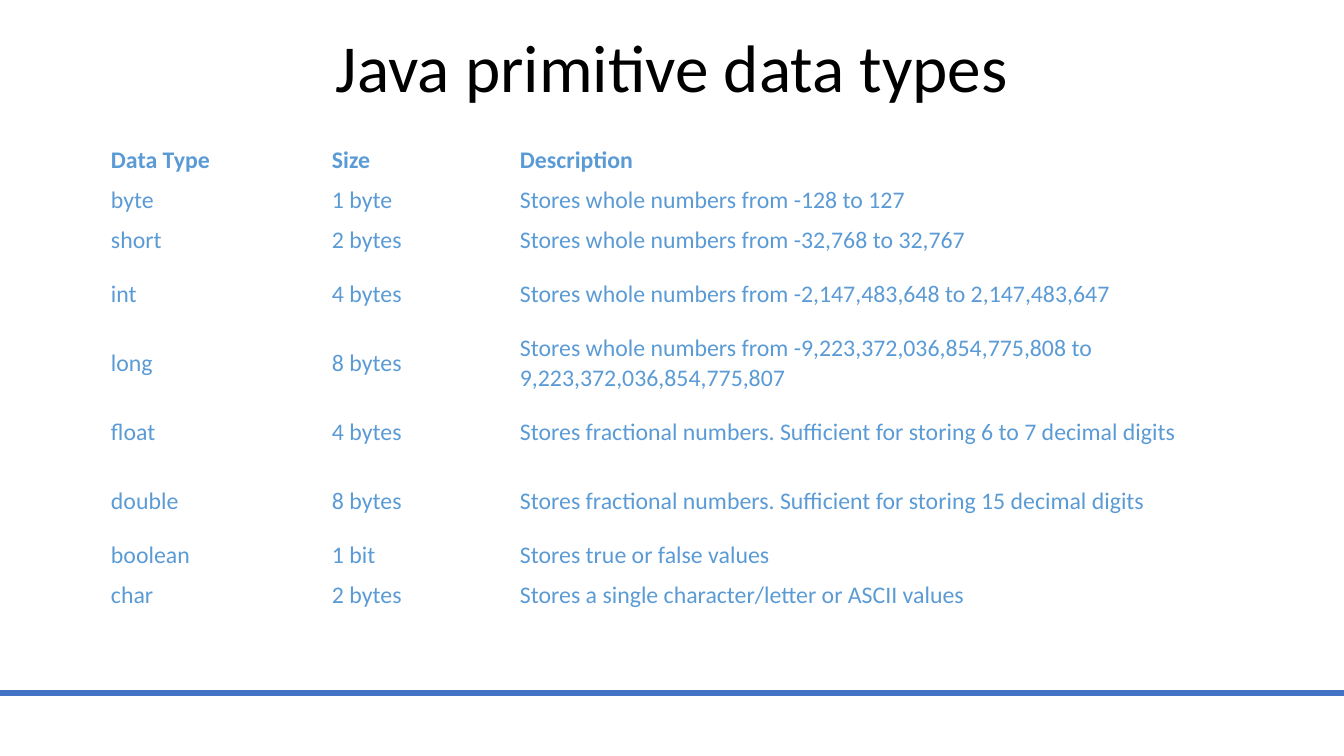
from pptx import Presentation
from pptx.dml.color import RGBColor
from pptx.enum.shapes import MSO_SHAPE
from pptx.enum.text import MSO_ANCHOR, PP_ALIGN
from pptx.util import Emu, Pt

COLORS = {"title": "000000", "table": "5B9BD5", "rule": "4472C4"}
FONT = "Calibri"
SLIDE_WIDTH, SLIDE_HEIGHT = 1344, 756
COLUMN_WIDTHS = [221, 188, 697]
ROW_HEIGHTS = [40] * 3 + [69] * 4 + [40] * 2
DATA_TYPES = [
    ("Data Type", "Size", "Description"),
    ("byte", "1 byte", "Stores whole numbers from -128 to 127"),
    ("short", "2 bytes", "Stores whole numbers from -32,768 to 32,767"),
    ("int", "4 bytes", "Stores whole numbers from -2,147,483,648 to 2,147,483,647"),
    ("long", "8 bytes", "Stores whole numbers from -9,223,372,036,854,775,808 to 9,223,372,036,854,775,807"),
    ("float", "4 bytes", "Stores fractional numbers. Sufficient for storing 6 to 7 decimal digits"),
    ("double", "8 bytes", "Stores fractional numbers. Sufficient for storing 15 decimal digits"),
    ("boolean", "1 bit", "Stores true or false values"),
    ("char", "2 bytes", "Stores a single character/letter or ASCII values"),
]


def px(length):
    return Emu(round(length * 12192000 / SLIDE_WIDTH))


def style(paragraph, size, color, bold=False):
    paragraph.font.name = FONT
    paragraph.font.size = Pt(size)
    paragraph.font.bold = bold
    paragraph.font.color.rgb = RGBColor.from_string(COLORS[color])


deck = Presentation()
deck.slide_width, deck.slide_height = px(SLIDE_WIDTH), px(SLIDE_HEIGHT)
slide = deck.slides.add_slide(deck.slide_layouts[6])

footer_rule = slide.shapes.add_shape(MSO_SHAPE.RECTANGLE, px(0), px(690), px(SLIDE_WIDTH), px(6))
footer_rule.shadow.inherit = False
footer_rule.fill.solid()
footer_rule.fill.fore_color.rgb = RGBColor.from_string(COLORS["rule"])
footer_rule.line.fill.background()

title = slide.shapes.add_textbox(px(66), px(28), px(1212), px(84)).text_frame
title.word_wrap = True
title.vertical_anchor = MSO_ANCHOR.BOTTOM
heading = title.paragraphs[0]
heading.text = "Java primitive data types"
heading.alignment = PP_ALIGN.CENTER
heading.line_spacing = 0.9
style(heading, 48, "title")

types_table = slide.shapes.add_table(
    len(DATA_TYPES), len(COLUMN_WIDTHS), px(102), px(140), px(sum(COLUMN_WIDTHS)), px(sum(ROW_HEIGHTS))
).table
types_table.horz_banding = False
types_table.first_row = False
for column, width in zip(types_table.columns, COLUMN_WIDTHS):
    column.width = px(width)
for row_index, (row, height, entries) in enumerate(zip(types_table.rows, ROW_HEIGHTS, DATA_TYPES)):
    row.height = px(height)
    for cell, entry in zip(row.cells, entries):
        cell.text = entry
        cell.fill.background()
        cell.vertical_anchor = MSO_ANCHOR.MIDDLE
        cell.margin_left = cell.margin_right = px(9)
        cell.margin_top = cell.margin_bottom = px(5)
        style(cell.text_frame.paragraphs[0], 17, "table", bold=row_index == 0)
        for edge in ("a:lnL", "a:lnR", "a:lnT", "a:lnB"):
            border = cell._tc.tcPr.makeelement(
                "{http://schemas.openxmlformats.org/drawingml/2006/main}" + edge[2:], {"w": "0"}
            )
            border.append(border.makeelement(
                "{http://schemas.openxmlformats.org/drawingml/2006/main}noFill", {}
            ))
            cell._tc.tcPr.insert(len(cell._tc.tcPr) - 1, border)

deck.save("out.pptx")
